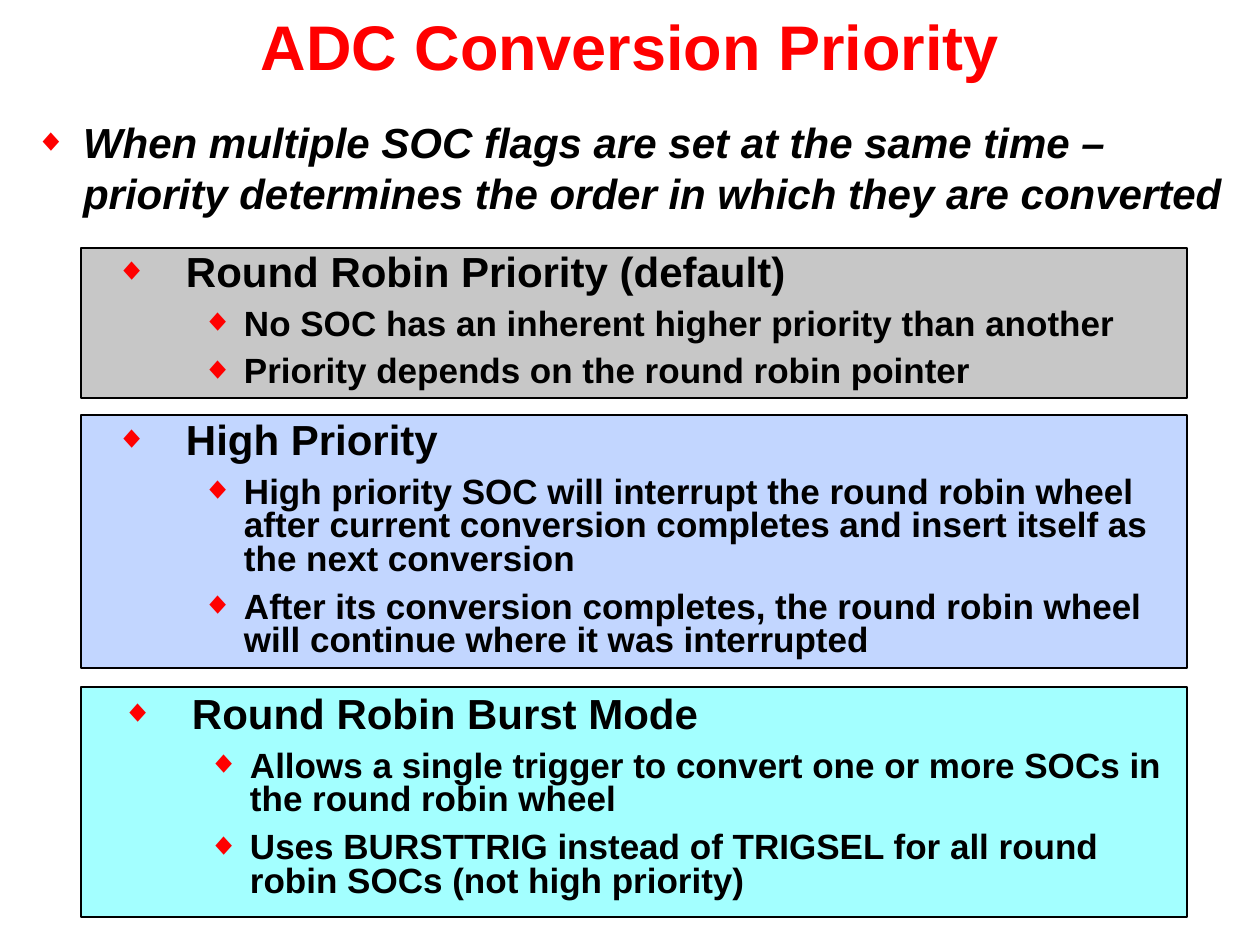
from dataclasses import dataclass

from lxml import etree
from pptx import Presentation
from pptx.dml.color import RGBColor
from pptx.enum.shapes import MSO_SHAPE
from pptx.enum.text import MSO_ANCHOR, MSO_AUTO_SIZE, PP_ALIGN
from pptx.oxml.ns import qn
from pptx.util import Pt

RECT = MSO_SHAPE.RECTANGLE
TOP, BOTTOM = MSO_ANCHOR.TOP, MSO_ANCHOR.BOTTOM
CENTER, LEFT = PP_ALIGN.CENTER, PP_ALIGN.LEFT
NO_AUTOFIT = MSO_AUTO_SIZE.NONE
EMU_PER_PX = 914400 / 126


@dataclass(frozen=True)
class Theme:
    font: str = "Arial"
    accent: str = "FF0000"
    ink: str = "000000"
    grey: str = "C7C7C7"
    blue: str = "C2D6FF"
    cyan: str = "A3FFFF"
    title: int = 36
    heading: int = 24
    detail: int = 20


THEME = Theme()
PANEL_LEFT, PANEL_WIDTH = 81, 1106

# margin, hanging indent (px) and size (percent) of each bullet
LEAD_BULLET = (48, 48, 75)
HEADING_BULLET = (76, 70, 75)
DETAIL_BULLET = (134, 42, 90)

# panel top and height, fill, text box (left, top, width, height), text start, lines
PANELS = [
    (248, 150, THEME.grey, (76, 255, 1075, 142), 110, [
        "Round Robin Priority (default)",
        "No SOC has an inherent higher priority than another",
        "Priority depends on the round robin pointer"]),
    (415, 253, THEME.blue, (87, 423, 1085, 244), 110, [
        "High Priority",
        "High priority SOC will interrupt the round robin wheel after current "
        "conversion completes and insert itself as the next conversion",
        "After its conversion completes, the round robin wheel will continue "
        "where it was interrupted"]),
    (687, 230, THEME.cyan, (102, 697, 1075, 210), 116, [
        "Round Robin Burst Mode",
        "Allows a single trigger to convert one or more SOCs in the round robin wheel",
        "Uses BURSTTRIG instead of TRIGSEL for all round robin SOCs (not high priority)"]),
]


def px(n):
    return round(n * EMU_PER_PX)


def place(sp, left, top, width, height):
    sp.left, sp.top, sp.width, sp.height = map(px, (left, top, width, height))


def set_frame(tf, anchor, left=0, top=0, right=0, bottom=0):
    tf.word_wrap = True
    tf.auto_size = NO_AUTOFIT
    tf.vertical_anchor = anchor
    tf.margin_left, tf.margin_top = px(left), px(top)
    tf.margin_right, tf.margin_bottom = px(right), px(bottom)


def set_bullet(p, margin, hanging, percent):
    pPr = p._p.get_or_add_pPr()
    pPr.set("marL", str(px(margin)))
    pPr.set("indent", str(-px(hanging)))
    color = etree.SubElement(pPr, qn("a:buClr"))
    etree.SubElement(color, qn("a:srgbClr"), val=THEME.accent)
    etree.SubElement(pPr, qn("a:buSzPct"), val=str(percent * 1000))
    etree.SubElement(pPr, qn("a:buFont"), typeface=THEME.font)
    etree.SubElement(pPr, qn("a:buChar"), char="◆")


def write(p, text, size, color=THEME.ink, italic=False, align=LEFT,
          spacing=1.0, before=0, level=0, bullet=None):
    """Fill a paragraph; bullet is (margin, hanging, percent)."""
    if bullet:
        set_bullet(p, *bullet)
    p.level = level
    p.alignment = align
    p.line_spacing = spacing
    p.space_before = Pt(before)
    r = p.add_run()
    r.text = text
    r.font.name = THEME.font
    r.font.size = Pt(size)
    r.font.bold = True
    r.font.italic = italic
    r.font.color.rgb = RGBColor.from_string(color)


def add_title(s, text):
    sp = s.shapes.title
    place(sp, 0, 1, 1260, 85)
    set_frame(sp.text_frame, BOTTOM, bottom=3)
    write(sp.text_frame.paragraphs[0], text, THEME.title, THEME.accent, align=CENTER)


def add_lead(s, text):
    sp = s.placeholders[1]
    place(sp, 23, 110, 1214, 121)
    set_frame(sp.text_frame, TOP, left=12, top=6)
    write(sp.text_frame.paragraphs[0], text, THEME.heading, italic=True,
          spacing=1.01, bullet=LEAD_BULLET)


def add_panel(s, top, height, fill):
    sp = s.shapes.add_shape(RECT, px(PANEL_LEFT), px(top), px(PANEL_WIDTH), px(height))
    sp.shadow.inherit = False
    sp.fill.solid()
    sp.fill.fore_color.rgb = RGBColor.from_string(fill)
    sp.line.color.rgb = RGBColor.from_string(THEME.ink)
    sp.line.width = Pt(1)


def add_topic(s, box, text_left, lines):
    """Add a bulleted heading with its detail bullets."""
    tf = s.shapes.add_textbox(*map(px, box)).text_frame
    set_frame(tf, TOP, left=text_left - box[0])
    heading, *details = lines
    write(tf.paragraphs[0], heading, THEME.heading, spacing=0.8, bullet=HEADING_BULLET)
    for detail in details:
        write(tf.add_paragraph(), detail, THEME.detail, spacing=0.8, before=8,
              level=1, bullet=DETAIL_BULLET)


def main():
    prs = Presentation()
    prs.slide_width, prs.slide_height = px(1260), px(945)
    s = prs.slides.add_slide(prs.slide_layouts[1])
    add_title(s, "ADC Conversion Priority")
    add_lead(s, "When multiple SOC flags are set at the same time – priority "
                "determines the order in which they are converted")
    for top, height, fill, box, text_left, lines in PANELS:
        add_panel(s, top, height, fill)
        add_topic(s, box, text_left, lines)
    prs.save("out.pptx")


if __name__ == "__main__":
    main()
